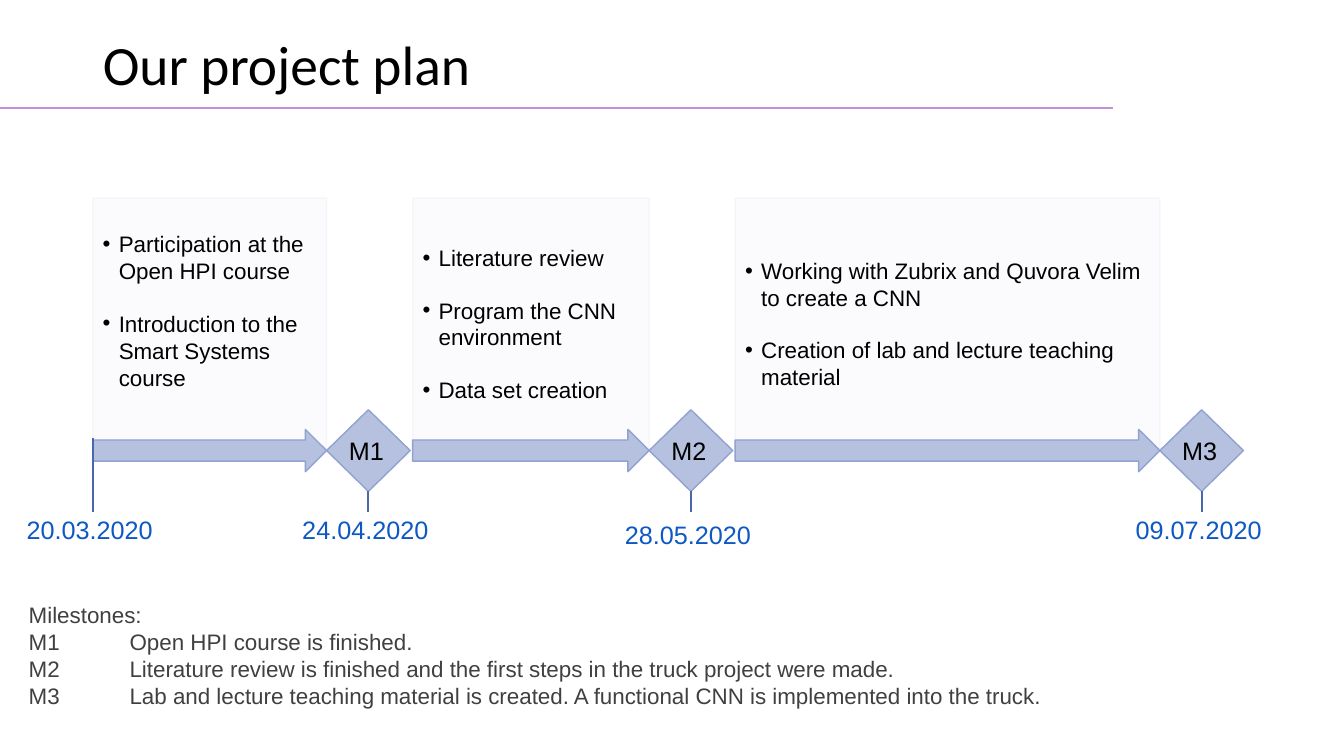
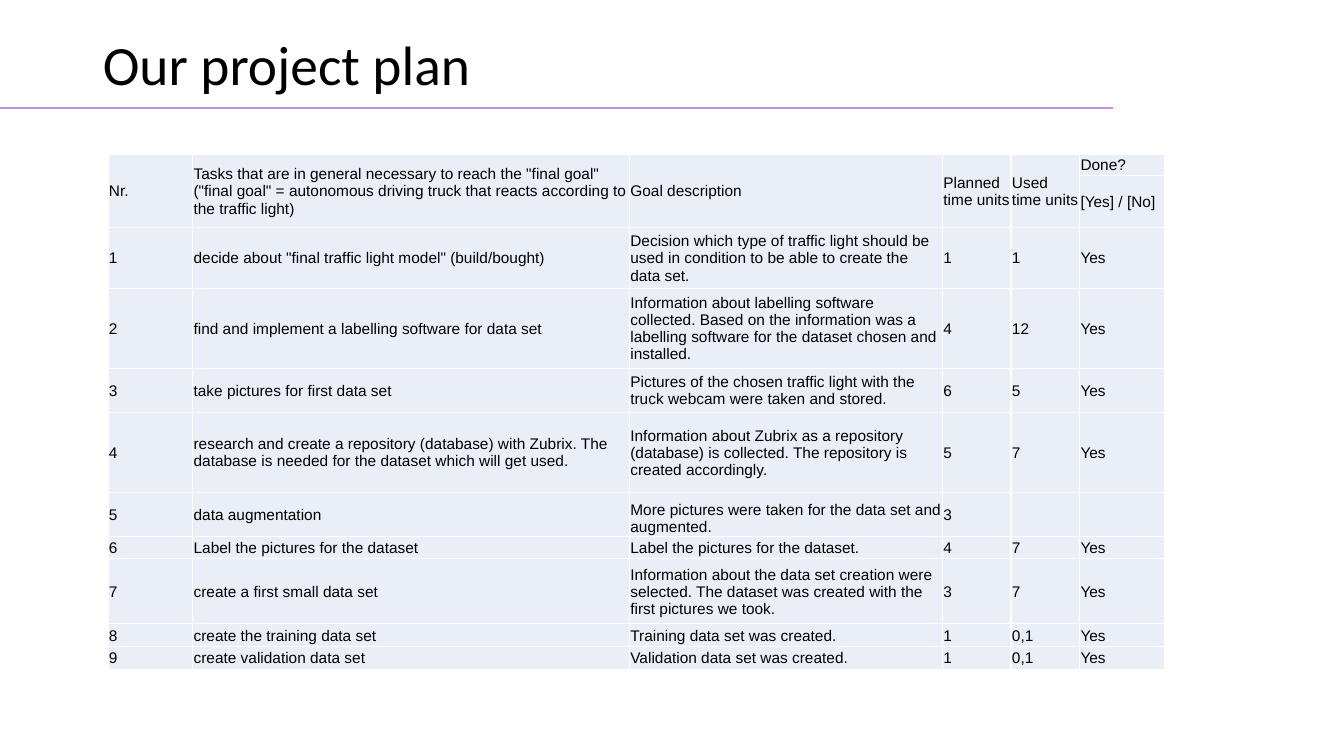
from dataclasses import dataclass
from itertools import product

from lxml.etree import SubElement
from pptx import Presentation
from pptx.dml.color import RGBColor
from pptx.enum.shapes import MSO_CONNECTOR as Connector, MSO_SHAPE as Preset
from pptx.enum.text import MSO_ANCHOR as Anchor, MSO_AUTO_SIZE as AutoSize, PP_ALIGN as Align
from pptx.oxml.ns import qn
from pptx.util import Inches, Pt


@dataclass(frozen=True)
class Theme:
    body_font: str = "Arial"
    title_font: str = "Calibri"
    title_size: float = 39.6
    label_size: float = 18
    body_size: float = 16
    table_size: float = 11
    text: str = "000000"
    muted: str = "404040"
    date: str = "0E58C4"
    rule: str = "C490DA"
    mark: str = "4A66AC"
    step_fill: str = "B5C1DF"
    step_line: str = "90A2CF"
    card_fill: str = "DAE0EF"
    cell_fill: str = "EAEFF7"
    cell_line: str = "FFFFFF"


@dataclass(frozen=True)
class Phase:
    width: float
    milestone: str
    date: str
    date_top: float
    tasks: tuple
    lift: float = 0.05


THEME = Theme()
WIDTH, HEIGHT = Inches(13.33), Inches(7.5)
TITLE = "Our project plan"

TIMELINE_LEFT = 6.9
TIP_WIDTH = 6.22
PHASE_GAP = 6.4
START_DATE = "20.03.2020"
DATE_TOP = 67.4
PHASES = (
    Phase(17.4, "M1", "24.04.2020", DATE_TOP,
          ("Participation at the Open HPI course",
           "Introduction to the Smart Systems course"), lift=0.31),
    Phase(17.6, "M2", "28.05.2020", 68,
          ("Literature review", "Program the CNN environment", "Data set creation")),
    Phase(31.6, "M3", "09.07.2020", DATE_TOP,
          ("Working with Zubrix and Quvora Velim to create a CNN",
           "Creation of lab and lecture teaching material")),
)
MILESTONES = (
    "Milestones:",
    "M1\tOpen HPI course is finished.",
    "M2\tLiterature review is finished and the first steps in the truck project were made.",
    "M3\tLab and lecture teaching material is created. A functional CNN is implemented into the truck.",
)

COLUMN_SHARES = (6.3, 32.5, 23.3, 5.1, 5.1, 6.3)
ROW_SHARES = (2.8, 6.8, 8, 10.6, 5.8, 10.6, 5.8, 3, 8.6, 3, 3)
TASK_ROWS = (
    ("Nr.",
     'Tasks that are in general necessary to reach the "final goal" ("final goal" = '
     "autonomous driving truck that reacts according to the traffic light)",
     "Goal description", "Planned time units", "Used time units", "Done?"),
    ("", "", "", "", "", "[Yes] / [No]"),
    ("1", 'decide about "final traffic light model" (build/bought)',
     "Decision which type of traffic light should be used in condition to be able to "
     "create the data set.", "1", "1", "Yes"),
    ("2", "find and implement a labelling software for data set",
     "Information about labelling software collected. Based on the information was a "
     "labelling software for the dataset chosen and installed.", "4", "12", "Yes"),
    ("3", "take pictures for first data set",
     "Pictures of the chosen traffic light with the truck webcam were taken and stored.",
     "6", "5", "Yes"),
    ("4", "research and create a repository (database) with Zubrix. The database is "
     "needed for the dataset which will get used.",
     "Information about Zubrix as a repository (database) is collected. The repository "
     "is created accordingly.", "5", "7", "Yes"),
    ("5", "data augmentation", "More pictures were taken for the data set and augmented.",
     "3", "", ""),
    ("6", "Label the pictures for the dataset", "Label the pictures for the dataset.",
     "4", "7", "Yes"),
    ("7", "create a first small data set",
     "Information about the data set creation were selected. The dataset was created "
     "with the first pictures we took.", "3", "7", "Yes"),
    ("8", "create the training data set", "Training data set was created.", "1", "0,1", "Yes"),
    ("9", "create validation data set", "Validation data set was created.", "1", "0,1", "Yes"),
)
BOTTOM_CELL = (6, 2)


def across(percent):
    return round(WIDTH * percent / 100)


def down(percent):
    return round(HEIGHT * percent / 100)


def area(left, top, width, height):
    return across(left), down(top), across(width), down(height)


def color(value):
    return RGBColor.from_string(value)


def format_text(frame, size, value=THEME.text, font=THEME.body_font):
    for para in frame.paragraphs:
        for span in para.runs:
            span.font.size = Pt(size)
            span.font.name = font
            span.font.color.rgb = color(value)


def set_opacity(shape, percent):
    for node in shape.element.spPr.iter(qn("a:srgbClr")):
        SubElement(node, qn("a:alpha")).set("val", str(percent * 1000))


def add_line(page, start, end, value, width):
    line = page.shapes.add_connector(
        Connector.STRAIGHT, across(start[0]), down(start[1]), across(end[0]), down(end[1]))
    line.line.color.rgb = color(value)
    line.line.width = Pt(width)
    SubElement(line.element.spPr, qn("a:effectLst"))
    return line


def add_box(page, preset, place, fill, outline):
    box = page.shapes.add_shape(preset, *area(*place))
    box.shadow.inherit = False
    box.fill.solid()
    box.fill.fore_color.rgb = color(fill)
    box.line.color.rgb = color(outline)
    box.line.width = Pt(1)
    return box


def add_text(page, place, text, size, value):
    box = page.shapes.add_textbox(*area(*place))
    box.text_frame.word_wrap = True
    box.text_frame.text = text
    format_text(box.text_frame, size, value)
    return box


def add_bullet(para):
    properties = para._p.get_or_add_pPr()
    properties.set("marL", str(Inches(0.16)))
    properties.set("indent", str(-Inches(0.16)))
    SubElement(properties, qn("a:buFont")).set("typeface", THEME.body_font)
    SubElement(properties, qn("a:buChar")).set("char", "•")


def add_tab(para, position):
    tabs = SubElement(para._p.get_or_add_pPr(), qn("a:tabLst"))
    tab = SubElement(tabs, qn("a:tab"))
    tab.set("pos", str(position))
    tab.set("algn", "l")


def add_card(page, left, phase):
    card = add_box(page, Preset.RECTANGLE, (left, 26.2, phase.width, 33.2),
                   THEME.card_fill, THEME.step_fill)
    set_opacity(card, 10)
    frame = card.text_frame
    frame.word_wrap = True
    frame.vertical_anchor = Anchor.MIDDLE
    frame.margin_bottom = Inches(phase.lift)
    frame.text = "\n".join(phase.tasks)
    for index, para in enumerate(frame.paragraphs):
        add_bullet(para)
        para.alignment = Align.LEFT
        if index:
            para.space_before = Pt(18.4)
    format_text(frame, THEME.body_size)


def add_milestone(page, left, name):
    tip = add_box(page, Preset.DIAMOND, (left, 54.2, TIP_WIDTH, 10.8),
                  THEME.step_fill, THEME.step_line)
    frame = tip.text_frame
    frame.margin_left = frame.margin_top = frame.margin_bottom = 0
    frame.margin_right = Inches(0.04)
    frame.word_wrap = False
    frame.vertical_anchor = Anchor.MIDDLE
    frame.text = name
    frame.paragraphs[0].alignment = Align.CENTER
    format_text(frame, THEME.label_size)


def add_date(page, center, mark_top, text, top):
    add_line(page, (center, mark_top), (center, 67.7), THEME.mark, 1.5)
    width = 11.32
    add_text(page, (center - width / 2, top, width, 5.3), text, THEME.label_size, THEME.date)


def add_phase(page, left, phase):
    end = left + phase.width
    add_card(page, left, phase)
    add_box(page, Preset.RIGHT_ARROW, (left, 56.8, phase.width, 5.6),
            THEME.step_fill, THEME.step_line)
    add_milestone(page, end, phase.milestone)
    add_date(page, end + TIP_WIDTH / 2, 65, phase.date, phase.date_top)
    return end + PHASE_GAP


def add_timeline(page):
    left = TIMELINE_LEFT
    for phase in PHASES:
        left = add_phase(page, left, phase)
    add_date(page, TIMELINE_LEFT, 58, START_DATE, DATE_TOP)
    legend = add_text(page, (1.4, 78.9, 95.3, 15.8), "\n".join(MILESTONES),
                      THEME.body_size, THEME.muted)
    for para in legend.text_frame.paragraphs:
        add_tab(para, Inches(1))


def format_cell(cell, anchor):
    cell.margin_left = cell.margin_right = cell.margin_top = Inches(0.01)
    cell.margin_bottom = 0
    cell.vertical_anchor = anchor
    properties = cell._tc.get_or_add_tcPr()
    for side in ("lnL", "lnR", "lnT", "lnB"):
        border = SubElement(properties, qn(f"a:{side}"))
        border.set("w", str(Pt(1)))
        SubElement(SubElement(border, qn("a:solidFill")), qn("a:srgbClr")).set(
            "val", THEME.cell_line)
    cell.fill.solid()
    cell.fill.fore_color.rgb = color(THEME.cell_fill)
    format_text(cell.text_frame, THEME.table_size)


def add_task_table(page):
    place = area(8.03, 20.4, sum(COLUMN_SHARES), sum(ROW_SHARES))
    table = page.shapes.add_table(len(ROW_SHARES), len(COLUMN_SHARES), *place).table
    table.first_row = table.horz_banding = False
    for column, share in zip(table.columns, COLUMN_SHARES):
        column.width = across(share)
    for row, share in zip(table.rows, ROW_SHARES):
        row.height = down(share)
    for row, column in product(range(len(ROW_SHARES)), range(len(COLUMN_SHARES))):
        cell = table.cell(row, column)
        cell.text = TASK_ROWS[row][column]
        format_cell(cell, Anchor.BOTTOM if (row, column) == BOTTOM_CELL else Anchor.MIDDLE)
    for column in range(len(COLUMN_SHARES) - 1):
        table.cell(0, column).merge(table.cell(1, column))


def prepare_layout(deck):
    layout = deck.slide_layouts.get_by_name("Title Only")
    for holder in list(layout.placeholders):
        if holder.placeholder_format.idx:
            holder.element.getparent().remove(holder.element)
    title = layout.placeholders[0]
    title.left, title.top, title.width, title.height = area(6.9, 4.2, 86.25, 9.6)
    return layout


def add_titled_page(deck, layout):
    page = deck.slides.add_slide(layout)
    frame = page.shapes.title.text_frame
    frame.text = TITLE
    frame.auto_size = AutoSize.NONE
    frame.vertical_anchor = Anchor.MIDDLE
    frame.paragraphs[0].alignment = Align.LEFT
    frame.paragraphs[0].line_spacing = 0.9
    format_text(frame, THEME.title_size, font=THEME.title_font)
    return page


def main():
    deck = Presentation()
    deck.slide_width, deck.slide_height = WIDTH, HEIGHT
    layout = prepare_layout(deck)
    plan, tasks = (add_titled_page(deck, layout) for _ in range(2))
    title_rule = add_line(plan, (0, 14.3), (82.8, 14.3), THEME.rule, 1.5)
    layout.shapes.element.append(title_rule.element)
    add_timeline(plan)
    add_task_table(tasks)
    deck.save("out.pptx")


if __name__ == "__main__":
    main()
